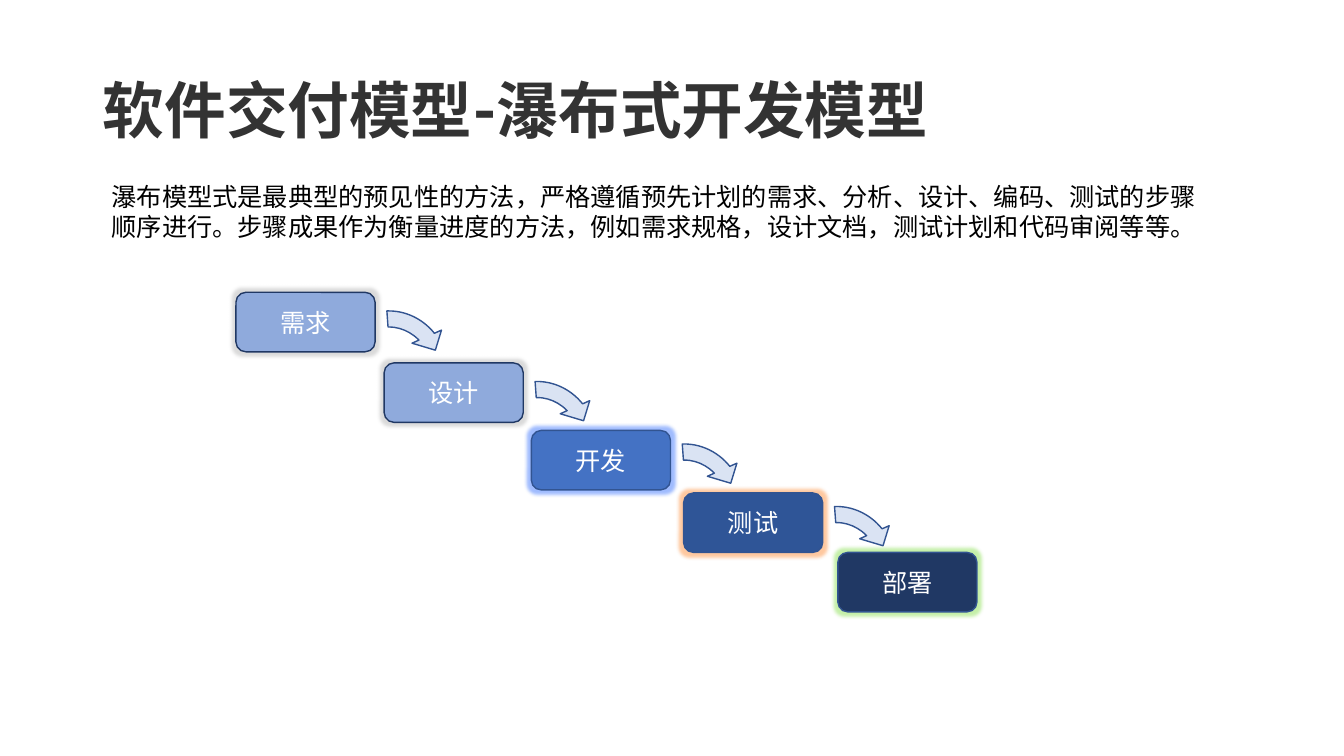
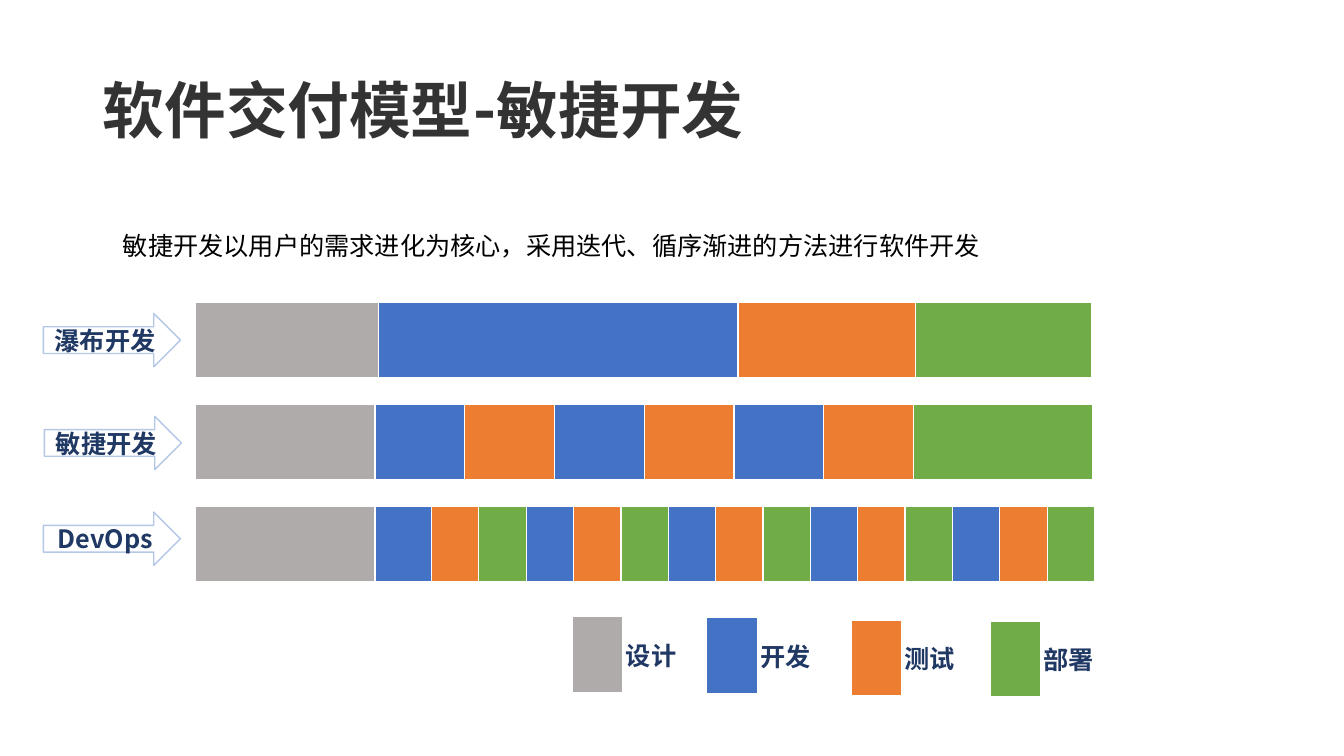
from lxml import etree
from pptx import Presentation
from pptx import util as u
from pptx.dml.color import RGBColor
from pptx.enum import shapes, text
from pptx.oxml import parse_xml
from pptx.oxml.ns import nsdecls, qn

PX = 9144
BODY_FONT, TITLE_FONT = "Noto Sans CJK SC", "Roboto"
NAVY, WHITE, EDGE = "203864", "FFFFFF", "325491"
DESIGN, DEVELOP, TEST, DEPLOY = "AFABAB", "4472C4", "ED7D31", "70AD47"


def px(*values):
    return [u.Emu(v * PX) for v in values]


def rgb(value):
    return RGBColor.from_string(value)


def write(tf, words, color, size=18, bold=False, font=BODY_FONT,
          align=text.PP_ALIGN.LEFT):
    tf.word_wrap = True
    p = tf.paragraphs[0]
    p.text = words
    p.alignment = align
    p.font.name, p.font.size, p.font.bold = font, u.Pt(size), bold
    p.font.color.rgb = rgb(color)
    return p


def add_title_slide(prs, title):
    s = prs.slides.add_slide(prs.slide_layouts[5])
    sp = s.shapes.title
    sp.left, sp.top, sp.width, sp.height = px(92, 40, 1150, 145)
    tf = sp.text_frame
    tf.auto_size = text.MSO_AUTO_SIZE.NONE
    tf.vertical_anchor = text.MSO_ANCHOR.MIDDLE
    p = write(tf, title, "333333", 44, True, TITLE_FONT)
    p.line_spacing = 0.9
    return s


def add_text(s, box, words, color="000000", bold=False):
    sp = s.shapes.add_textbox(*px(*box))
    write(sp.text_frame, words, color, bold=bold)


def add_shape(s, kind, box, fill, line):
    sp = s.shapes.add_shape(kind, *px(*box))
    sp.shadow.inherit = False
    sp.fill.solid()
    sp.fill.fore_color.rgb = rgb(fill)
    sp.line.color.rgb = rgb(line)
    sp.line.width = u.Pt(1)
    return sp


def add_label_shape(s, kind, box, words, fill, line, color, bold=False):
    sp = add_shape(s, kind, box, fill, line)
    tf = sp.text_frame
    tf.margin_left = tf.margin_right = 0
    tf.vertical_anchor = text.MSO_ANCHOR.MIDDLE
    write(tf, words, color, bold=bold, align=text.PP_ALIGN.CENTER)
    return sp


def add_glow(sp, color):
    effects = sp._element.spPr.find(qn("a:effectLst"))
    effects.append(parse_xml(
        f'<a:glow {nsdecls("a")} rad="63500"><a:srgbClr val="{color}">'
        '<a:alpha val="40000"/></a:srgbClr></a:glow>'))


def add_step(s, x, y, words, fill, line, glow):
    sp = add_label_shape(s, shapes.MSO_SHAPE.ROUNDED_RECTANGLE,
                         (x, y, 138, 59), words, fill, line, WHITE)
    add_glow(sp, glow)


def add_turn(s, x, y):
    sp = add_shape(s, shapes.MSO_SHAPE.CIRCULAR_ARROW, (x, y, 128, 134),
                   "DAE3F3", EDGE)
    sp.rotation = 336
    for i, value in enumerate((0.125, 11.423, 204.577, 173.923, 0.125)):
        sp.adjustments[i] = value


def add_border(cell, side, width):
    ln = etree.SubElement(cell._tc.get_or_add_tcPr(), qn(f"a:ln{side}"),
                          w=str(u.Pt(width)))
    fill = etree.SubElement(ln, qn("a:solidFill"))
    etree.SubElement(fill, qn("a:srgbClr"), val=WHITE)


def add_bar(s, x, y, widths, colors):
    height = 76
    frame = s.shapes.add_table(1, len(widths), *px(x, y, sum(widths), height))
    table = frame.table
    table.first_row = table.horz_banding = False
    for i, (width, color) in enumerate(zip(widths, colors)):
        table.columns[i].width = px(width)[0]
        cell = table.cell(0, i)
        for side, weight in (("L", 1), ("R", 1), ("T", 1), ("B", 3)):
            add_border(cell, side, weight)
        cell.fill.solid()
        cell.fill.fore_color.rgb = rgb(color)


def add_legend_item(s, x, y, words, color):
    add_bar(s, x, y, [50], [color])
    add_text(s, (x + 43, y + 18, 72, 40), words, NAVY, True)


def waterfall_slide(prs):
    s = add_title_slide(prs, "软件交付模型-瀑布式开发模型")
    add_text(s, (101, 175, 1117, 71),
             "瀑布模型式是最典型的预见性的方法，严格遵循预先计划的需求、分析、设计、编码、测试的步骤"
             "顺序进行。步骤成果作为衡量进度的方法，例如需求规格，设计文档，测试计划和代码审阅等等。")
    steps = [
        (234, 290, "需求", "8FAADC", NAVY, "A5A5A5"),
        (381, 360, "设计", "8FAADC", NAVY, "A5A5A5"),
        (527, 427, "开发", DEVELOP, EDGE, "1157FF"),
        (678, 489, "测试", "2F5597", EDGE, "FF7711"),
        (831, 548, "部署", NAVY, EDGE, "6ED929"),
    ]
    for step in steps:
        add_step(s, *step)
    for (x, y, *_), drop in zip(steps, (10, 10, 5, 5)):
        add_turn(s, x + 90, y + drop)


def agile_slide(prs):
    s = add_title_slide(prs, "软件交付模型-敏捷开发")
    add_text(s, (112, 224, 1117, 40),
             "敏捷开发以用户的需求进化为核心，采用迭代、循序渐进的方法进行软件开发")
    rows = [
        ("瀑布开发", 43, 311, [181, 357, 176, 175],
         [DESIGN, DEVELOP, TEST, DEPLOY]),
        ("敏捷开发", 44, 413, [178] + [89] * 6 + [178],
         [DESIGN] + [DEVELOP, TEST] * 3 + [DEPLOY]),
        ("DevOps", 43, 508, [178, 56] + [47] * 14,
         [DESIGN] + [DEVELOP, TEST, DEPLOY] * 5),
    ]
    for i, (words, x, y, widths, colors) in enumerate(rows):
        add_bar(s, 194, 300 + 101 * i, widths, colors)
        add_label_shape(s, shapes.MSO_SHAPE.RIGHT_ARROW, (x, y, 136, 53),
                        words, WHITE, "B4C7E7", NAVY, True)
    for item in ((568, 612, "设计", DESIGN), (701, 613, "开发", DEVELOP),
                 (844, 615, "测试", TEST), (982, 616, "部署", DEPLOY)):
        add_legend_item(s, *item)


def main():
    prs = Presentation()
    prs.slide_width, prs.slide_height = px(1333, 750)
    waterfall_slide(prs)
    agile_slide(prs)
    prs.save("out.pptx")


if __name__ == "__main__":
    main()
